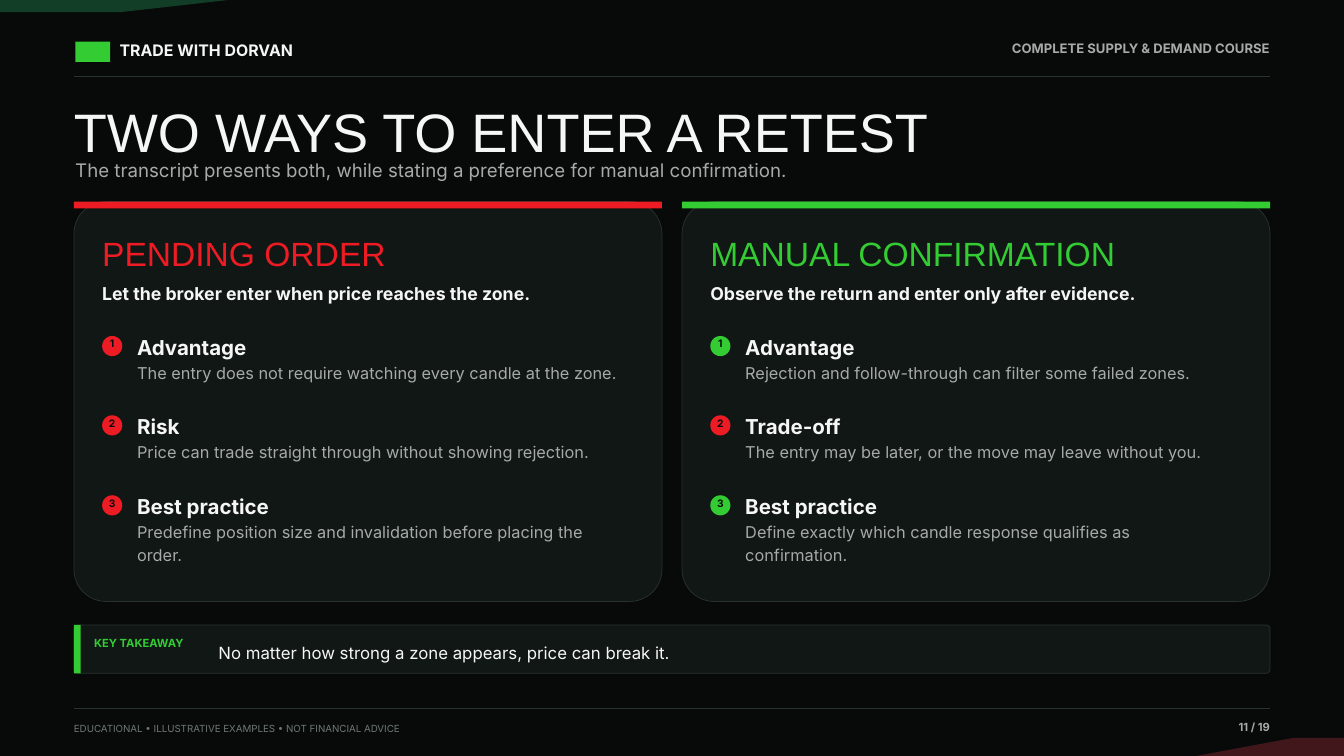
from lxml.etree import SubElement
from pptx import Presentation
from pptx.dml.color import RGBColor
from pptx.enum.shapes import MSO_CONNECTOR, MSO_SHAPE
from pptx.enum.text import MSO_ANCHOR, MSO_AUTO_SIZE, PP_ALIGN
from pptx.oxml.ns import qn
from pptx.util import Pt

PX = 9144  # 100 px to the inch
HEX = {
    "back": "070A09", "panel": "111715", "rule": "28332E",
    "white": "F5F7F6", "grey": "A6AAA8", "dim": "6F7873",
    "green": "33CC33", "red": "ED1C24", "moss": "123D26", "wine": "42171B",
}
HUE = {name: RGBColor.from_string(code) for name, code in HEX.items()}

deck = Presentation()
deck.slide_width, deck.slide_height = 2000 * PX, 1125 * PX
slide = deck.slides.add_slide(deck.slide_layouts[6])
slide.background.fill.solid()
slide.background.fill.fore_color.rgb = HUE["back"]
shapes = slide.shapes


def add_box(kind, x, y, w, h, fill, edge=None):
    box = shapes.add_shape(kind, x * PX, y * PX, w * PX, h * PX)
    box.shadow.inherit = False
    box.fill.solid()
    box.fill.fore_color.rgb = HUE[fill]
    if edge:
        box.line.color.rgb = HUE[edge]
        box.line.width = Pt(0.8)
        box.adjustments[0] = 0.08
    else:
        box.line.fill.background()
    return box


def add_text(words, x, y, w, h, size, hue, bold=False, font="Inter",
             align=PP_ALIGN.LEFT, space=1.18):
    box = shapes.add_textbox(x * PX, y * PX, w * PX, h * PX)
    frame = box.text_frame
    frame.margin_left = frame.margin_right = 0
    frame.margin_top = frame.margin_bottom = 0
    frame.word_wrap = False
    frame.auto_size = MSO_AUTO_SIZE.SHAPE_TO_FIT_TEXT
    frame.text = words
    for para in frame.paragraphs:
        para.alignment = align
        para.line_spacing = space
        for run in para.runs:
            run.font.name = font
            run.font.size = Pt(size)
            run.font.bold = bold
            run.font.color.rgb = HUE[hue]
    return frame


# Corner wedges
wedges = [
    ("moss", [(0, 0), (340, 0), (180, 18), (0, 18)]),
    ("wine", [(2000, 1125), (1780, 1125), (1925, 1098), (2000, 1098)]),
]
for hue, points in wedges:
    path = shapes.build_freeform(*points[0], scale=PX)
    path.add_line_segments(points[1:], close=True)
    wedge = path.convert_to_shape()
    wedge.shadow.inherit = False
    wedge.fill.solid()
    wedge.fill.fore_color.rgb = HUE[hue]
    wedge.line.fill.background()

# Header and footer rules
for y in (113, 1054):
    rule = shapes.add_connector(MSO_CONNECTOR.STRAIGHT, 110 * PX, y * PX, 1890 * PX, y * PX)
    rule.line.color.rgb = HUE["rule"]
    rule.line.width = Pt(0.8)
    SubElement(rule._element.spPr, qn("a:effectLst"))

# Header, with a plain mark beside the name
add_box(MSO_SHAPE.RECTANGLE, 112, 62, 52, 30, "green")
add_text("TRADE WITH DORVAN", 178, 56, 390, 34, 17, "white", True)
add_text("COMPLETE SUPPLY & DEMAND COURSE", 1400, 56, 490, 32, 14, "grey", True,
         align=PP_ALIGN.RIGHT)

# Footer
add_text("EDUCATIONAL • ILLUSTRATIVE EXAMPLES • NOT FINANCIAL ADVICE",
         110, 1072, 800, 25, 10.5, "dim")
add_text("11 / 19", 1720, 1068, 170, 28, 12, "grey", True, align=PP_ALIGN.RIGHT)

# Title
add_text("TWO WAYS TO ENTER A RETEST", 110, 146, 1780, 88, 58, "white",
         font="Arial", space=None)
add_text("The transcript presents both, while stating a preference for manual confirmation.",
         112, 230, 1720, 43, 20, "grey")

# Two cards, each with three numbered points
cards = [
    ("PENDING ORDER", "red", "Let the broker enter when price reaches the zone.", [
        ("red", "Advantage", "The entry does not require watching every candle at the zone."),
        ("red", "Risk", "Price can trade straight through without showing rejection."),
        ("red", "Best practice",
         "Predefine position size and invalidation before placing the\norder."),
    ]),
    ("MANUAL CONFIRMATION", "green", "Observe the return and enter only after evidence.", [
        ("green", "Advantage", "Rejection and follow-through can filter some failed zones."),
        ("red", "Trade-off", "The entry may be later, or the move may leave without you."),
        ("green", "Best practice",
         "Define exactly which candle response qualifies as\nconfirmation."),
    ]),
]
for col, (name, hue, lead, points) in enumerate(cards):
    left = 110 + 905 * col
    x = left + 42
    add_box(MSO_SHAPE.ROUNDED_RECTANGLE, left, 300, 875, 595, "panel", "rule")
    add_box(MSO_SHAPE.RECTANGLE, left, 300, 875, 10, hue)
    add_text(name, x, 336, 790, 68, 36, hue, font="Arial")
    add_text(lead, x, 415, 790, 52, 19, "white", True)
    for row, (dot, head, note) in enumerate(points):
        y = 500 + 237 * row // 2
        add_box(MSO_SHAPE.OVAL, x, y, 30, 30, dot)
        add_text(str(row + 1), x + 2, y - 1, 26, 23, 11, "back", True,
                 align=PP_ALIGN.CENTER)
        add_text(head, x + 52, y - 8, 733, 36, 22, "white", True)
        add_text(note, x + 52, y + 35, 733, 70, 17.5, "grey")

# Takeaway bar
add_box(MSO_SHAPE.ROUNDED_RECTANGLE, 110, 930, 1780, 72, "panel", "rule")
add_box(MSO_SHAPE.RECTANGLE, 110, 930, 10, 72, "green")
add_text("KEY TAKEAWAY", 140, 943, 185, 26, 12, "green", True)
moral = add_text("No matter how strong a zone appears, price can break it.",
                 325, 940, 1538, 56, 18, "white")
moral.vertical_anchor = MSO_ANCHOR.MIDDLE

deck.save("out.pptx")
